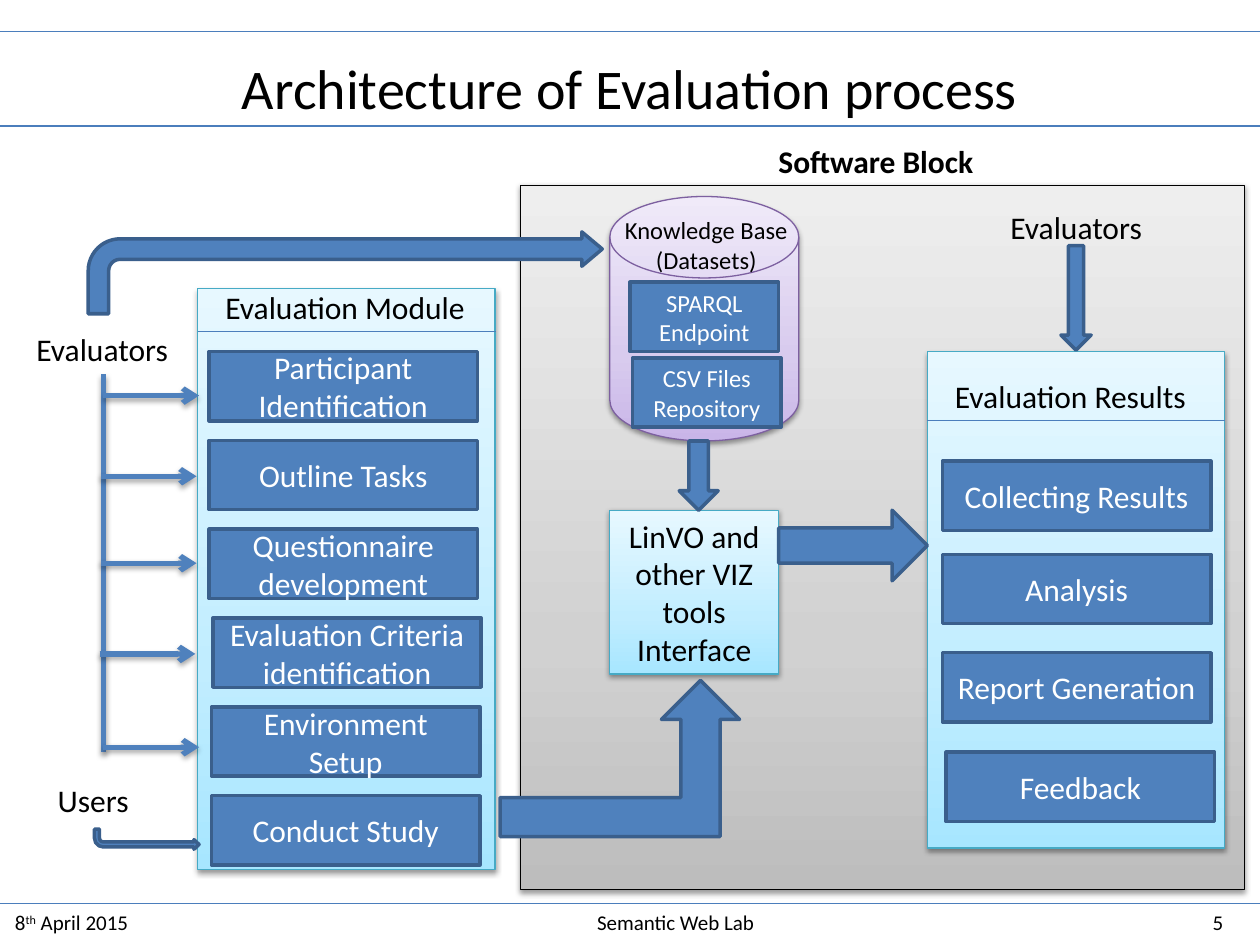
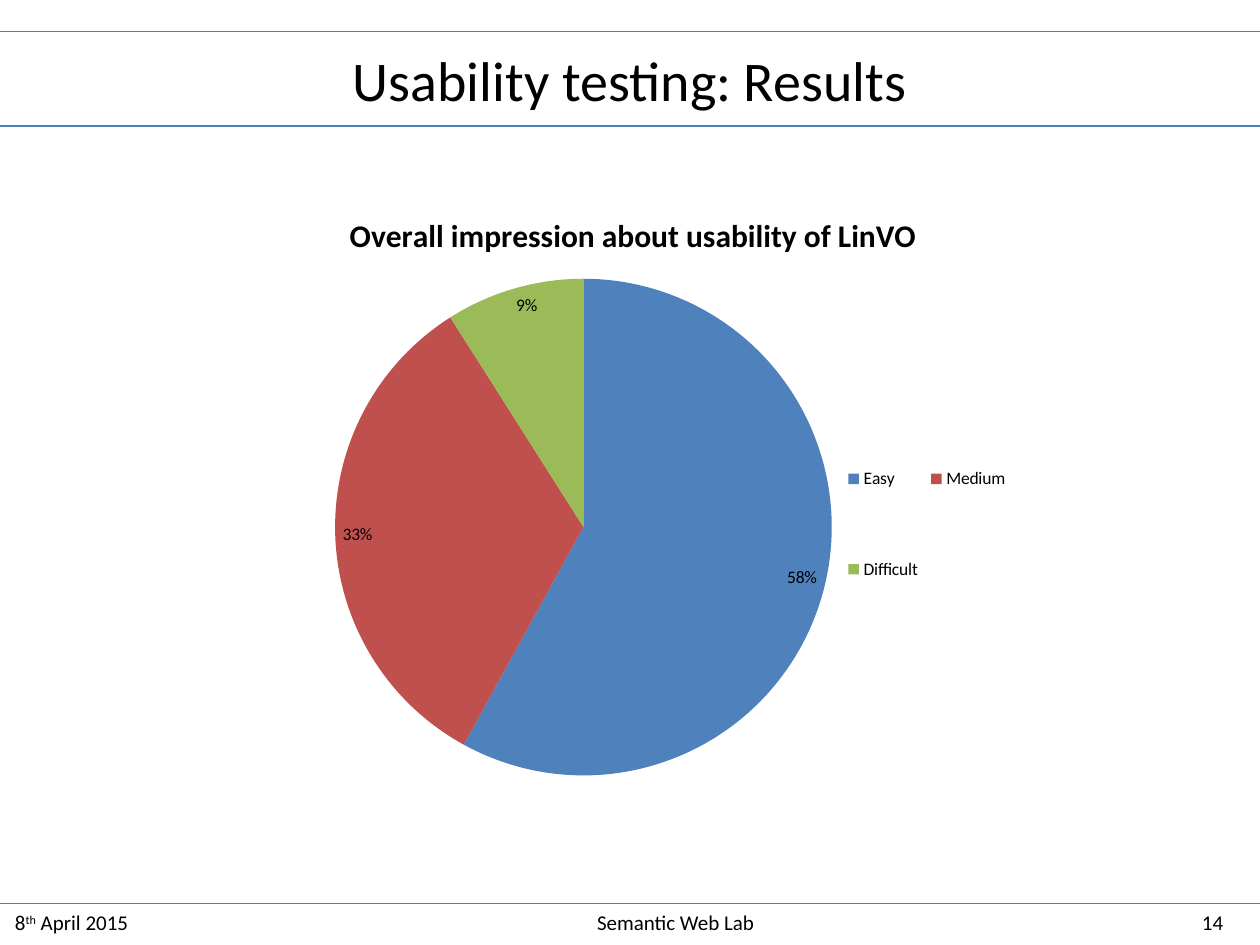
from lxml.etree import SubElement
from pptx import Presentation
from pptx.chart.data import CategoryChartData
from pptx.dml.color import RGBColor
from pptx.enum.chart import XL_CHART_TYPE, XL_LABEL_POSITION, XL_LEGEND_POSITION
from pptx.enum.shapes import MSO_CONNECTOR, MSO_SHAPE
from pptx.enum.text import MSO_ANCHOR, MSO_AUTO_SIZE, PP_ALIGN
from pptx.oxml.ns import qn
from pptx.util import Inches, Pt

COLORS = {
    "text": "000000", "white": "FFFFFF", "rule": "4B7EBC",
    "blue": "4F81BD", "edge": "3A5F8C", "red": "C0504D", "green": "9BBB59",
    "aqua_edge": "46AAC5", "purple_edge": "7D60A0",
}
GRADIENTS = {
    "gray": ("BDBDBD", "D1D1D1", "EEEEEE"),
    "aqua": ("A7E6FF", "C1EDFF", "E7F8FF"),
    "purple": ("C9B5E8", "D8CBEE", "F0EAF9"),
}
STOPS = (0, 35, 100)
FONT = "Calibri"
COLS, ROWS = 100, 75
CELL = Inches(0.1)
STEP_W, STEP_H = 21.3, 5.5


def rgb(name):
    return RGBColor.from_string(COLORS[name])


def grid(*cells):
    return [round(c * CELL) for c in cells]


def style_text(p, size, color="text", bold=False, align=None):
    p.font.name, p.font.size, p.font.bold = FONT, Pt(size), bold
    p.font.color.rgb = rgb(color)
    p.alignment = align


def add_shadow(s, alpha, distance):
    effects = s._element.spPr.find(qn("a:effectLst"))
    if effects is None:
        effects = SubElement(s._element.spPr, qn("a:effectLst"))
    shadow = SubElement(effects, qn("a:outerShdw"), blurRad=str(Pt(3.1)),
                        dist=str(Pt(distance)), dir="5400000", rotWithShape="0")
    color = SubElement(shadow, qn("a:srgbClr"), val=COLORS["text"])
    SubElement(color, qn("a:alpha"), val=str(alpha * 1000))


def add_line(slide, x1, y1, x2, y2, color="rule", width=0.75):
    s = slide.shapes.add_connector(MSO_CONNECTOR.STRAIGHT, *grid(x1, y1, x2, y2))
    s.line.color.rgb, s.line.width = rgb(color), Pt(width)
    SubElement(s._element.spPr, qn("a:effectLst"))
    return s


def add_branch(slide, x1, y1, x2, y2, arrow=True):
    s = add_line(slide, x1, y1, x2, y2, "blue", 3)
    add_shadow(s, 35, 1.8)
    if arrow:
        SubElement(s.line._get_or_add_ln(), qn("a:tailEnd"), type="arrow")


def add_outline(slide, kind, cells, edge, width):
    s = slide.shapes.add_shape(kind, *grid(*cells))
    s.shadow.inherit = False
    s.line.color.rgb, s.line.width = rgb(edge), Pt(width)
    return s


def fill_text(s, text, size, color):
    tf = s.text_frame
    tf.word_wrap, tf.vertical_anchor = True, MSO_ANCHOR.MIDDLE
    tf.text = text
    for p in tf.paragraphs:
        style_text(p, size, color, align=PP_ALIGN.CENTER)


def add_panel(slide, cells, gradient, edge, kind=MSO_SHAPE.RECTANGLE):
    s = add_outline(slide, kind, cells, edge, 0.75)
    s.fill.gradient()
    s.fill.gradient_angle = 90
    stops = s._element.spPr.find(".//" + qn("a:gsLst"))
    stops.clear()
    for stop, color in zip(STOPS, GRADIENTS[gradient]):
        gs = SubElement(stops, qn("a:gs"), pos=str(stop * 1000))
        SubElement(gs, qn("a:srgbClr"), val=color)
    add_shadow(s, 38, 1.6)
    return s


def add_solid(slide, kind, cells, adjustments=()):
    s = add_outline(slide, kind, cells, "edge", 2)
    s.fill.solid()
    s.fill.fore_color.rgb = rgb("blue")
    for i, value in enumerate(adjustments):
        s.adjustments[i] = value
    return s


def add_step(slide, text, x, y, w=STEP_W, size=18):
    s = add_solid(slide, MSO_SHAPE.RECTANGLE, (x, y, w, STEP_H))
    fill_text(s, text, size, "white")


def add_label(slide, text, x, y, w, h=4, size=18, bold=False, align=None, wrap=True):
    tf = slide.shapes.add_textbox(*grid(x, y, w, h)).text_frame
    tf.word_wrap, tf.auto_size = wrap, MSO_AUTO_SIZE.SHAPE_TO_FIT_TEXT
    p = tf.paragraphs[0]
    p.text = text
    style_text(p, size, bold=bold, align=align)
    return p


def add_footer(slide, number):
    p = add_label(slide, "8", 0.2, 71.7, COLS, 3, size=12)
    r = p.add_run()
    r.text = "th"
    r.font._element.set("baseline", "30000")
    p.add_run().text = f" April 2015\tSemantic Web Lab\t{number}"
    tabs = SubElement(p._p.get_or_add_pPr(), qn("a:tabLst"))
    p._p.pPr.insert(0, tabs)
    for column, align in ((46.2, "l"), (95.9, "r")):
        SubElement(tabs, qn("a:tab"), pos=str(grid(column)[0]), algn=align)


def add_slide(prs, title, title_cells, number):
    slide = prs.slides.add_slide(prs.slide_layouts[5])
    s = slide.shapes.title
    s.left, s.top, s.width, s.height = grid(*title_cells)
    fill_text(s, title, 32, "text")
    for row in (2.5, 10, 71.7):
        add_line(slide, 0, row, COLS, row)
    add_footer(slide, number)
    return slide


def add_evaluation_module(slide):
    add_panel(slide, (15.7, 22.9, 23.6, 46.1), "aqua", "aqua_edge")
    add_line(slide, 15.7, 26.3, 39.4, 26.3)
    add_label(slide, "Evaluation Module", 16.9, 22.4, STEP_W)
    steps = ("Participant Identification", "Outline Tasks", "Questionnaire development",
             "Evaluation Criteria\nidentification", "Environment Setup", "Conduct Study")
    for i, (text, x) in enumerate(zip(steps, (16.6, 16.6, 16.6, 16.9, 16.8, 16.8))):
        add_step(slide, text, x, 27.9 + 7.05 * i)


def add_evaluation_results(slide):
    add_panel(slide, (73.6, 27.9, 23.6, 39.4), "aqua", "aqua_edge")
    add_line(slide, 73.6, 33.4, 97.2, 33.4)
    add_label(slide, "Evaluation Results", 74.8, 29.4, STEP_W)
    for text, x, y in (("Collecting Results", 74.8, 36.6), ("Analysis", 74.8, 44),
                       ("Report Generation", 74.8, 51.8), ("Feedback", 75.1, 59.7)):
        add_step(slide, text, x, y)


def add_knowledge_base(slide):
    add_panel(slide, (48.4, 15.6, 15, 19.4), "purple", "purple_edge",
              MSO_SHAPE.FLOWCHART_MAGNETIC_DISK)
    add_step(slide, "SPARQL Endpoint", 50, 22.4, 11.8, 14)
    add_label(slide, "Knowledge Base (Datasets)", 47.3, 16.6, 17.5, 8.8, 14,
              align=PP_ALIGN.CENTER)
    add_step(slide, "CSV Files Repository", 50.2, 28.4, 11.8, 14)


def add_flow(slide):
    add_solid(slide, MSO_SHAPE.BENT_UP_ARROW, (39.7, 54, 19, 12.4))
    add_solid(slide, MSO_SHAPE.DOWN_ARROW, (53.9, 35, 3.1, 5.5))
    add_solid(slide, MSO_SHAPE.RIGHT_ARROW, (61.8, 40.5, 11.8, 5.6))
    add_solid(slide, MSO_SHAPE.DOWN_ARROW, (84.2, 19.5, 2.4, 8.3))
    add_solid(slide, MSO_SHAPE.BENT_ARROW, (7, 18.4, 40.8, 6.5),
              (0.25, 0.21, 0.25, 0.39))
    s = add_solid(slide, MSO_SHAPE.BENT_ARROW, (7.5, 65.8, 8.3, 1.6),
                  (0.25, 0.24, 0.25, 0.44))
    s.rotation = 180
    s._element.spPr.find(qn("a:xfrm")).set("flipH", "1")
    for text, x, y, w in (("Evaluators", 1.9, 25.7, 12.6), ("Users", 3.6, 61.5, 7.7),
                          ("Evaluators", 79.2, 16, 12.6)):
        add_label(slide, text, x, y, w, wrap=False)
    add_branch(slide, 8.2, 29.7, 8.2, 59.7, arrow=False)
    for x, y in ((8.2, 31.4), (8, 37.8), (8, 44.7), (7.9, 51.9), (8.2, 59.3)):
        add_branch(slide, x, y, x + 7.6, y)


def place(parent, x, y, w, h, inner=False):
    for old in parent.findall(qn("c:layout")):
        parent.remove(old)
    layout = SubElement(parent, qn("c:layout"))
    manual = SubElement(layout, qn("c:manualLayout"))
    if inner:
        SubElement(manual, qn("c:layoutTarget"), val="inner")
    for tag in ("xMode", "yMode"):
        SubElement(manual, qn("c:" + tag), val="edge")
    for tag, value in zip("xywh", (x, y, w, h)):
        SubElement(manual, qn("c:" + tag), val=str(value))
    return layout


def add_usability_pie(slide):
    data = CategoryChartData()
    data.categories = ("Easy", "Medium", "Difficult")
    data.add_series("Series 1", (58, 33, 9))
    chart = slide.shapes.add_chart(XL_CHART_TYPE.PIE, *grid(14.4, 15, 71.7, 47.5), data).chart
    chart.font.name, chart.font.size = FONT, Pt(10)
    chart.font.color.rgb = rgb("text")
    chart.has_title = True
    p = chart.chart_title.text_frame.paragraphs[0]
    p.text = "Overall impression about usability of LinVO"
    style_text(p, 18, bold=True)
    chart.has_legend = True
    legend = chart.legend
    legend.position, legend.include_in_layout = XL_LEGEND_POSITION.RIGHT, False
    legend._element.find(qn("c:legendPos")).addnext(
        place(legend._element, 0.73, 0.35, 0.19, 0.42))
    area = chart._chartSpace.chart.plotArea
    area.insert(0, place(area, 0.17, 0.15, 0.55, 0.83, inner=True))
    plot = chart.plots[0]
    plot.vary_by_categories = True
    for i, color in enumerate(("blue", "red", "green")):
        fill = plot.series[0].points[i].format.fill
        fill.solid()
        fill.fore_color.rgb = rgb(color)
    plot.has_data_labels = True
    labels = plot.data_labels
    labels.show_percentage, labels.show_value = True, False
    labels.number_format, labels.number_format_is_linked = "0%", False
    labels.position = XL_LABEL_POSITION.INSIDE_END


def main():
    prs = Presentation()
    prs.slide_width, prs.slide_height = grid(COLS, ROWS)

    slide = add_slide(prs, "Architecture of Evaluation process", (5, 3, 90, 7.8), 5)
    add_panel(slide, (41.3, 14.7, 57.5, 55.9), "gray", "text")
    add_label(slide, "Software Block", 60.8, 10.8, STEP_W, bold=True)
    add_evaluation_results(slide)
    tools = add_panel(slide, (48.4, 40.5, 13.4, 13), "aqua", "aqua_edge")
    fill_text(tools, "LinVO and other VIZ tools Interface", 18, "text")
    add_knowledge_base(slide)
    add_evaluation_module(slide)
    add_flow(slide)

    slide = add_slide(prs, "Usability testing: Results", (5, 0, 90, 12.5), 14)
    add_usability_pie(slide)
    prs.save("out.pptx")


if __name__ == "__main__":
    main()
